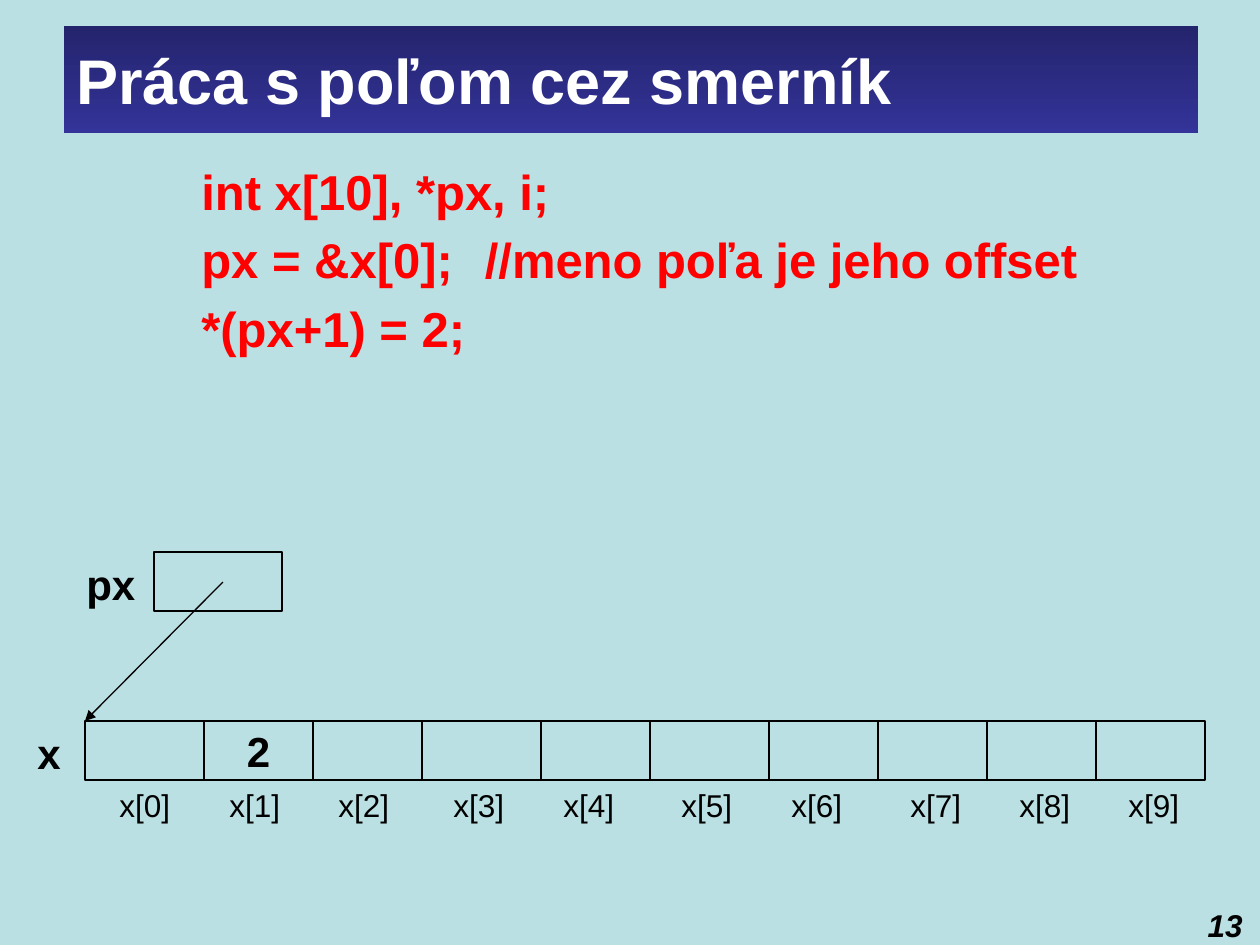
from itertools import accumulate

from lxml import etree
from pptx import Presentation
from pptx import util as u
from pptx.dml.color import RGBColor
from pptx.enum import shapes, text
from pptx.oxml.ns import qn

PX = 914400 // 126
COLORS = {"back": "BBE0E3", "ink": "000000", "code": "FF0000", "title": "FFFFFF",
          "bar_top": "24246D", "bar_bottom": "333399"}


def rgb(name):
    return RGBColor.from_string(COLORS[name])


class Builder:
    font = "Arial"

    def __init__(self, prs):
        self.s = prs.slides.add_slide(prs.slide_layouts[6])
        fill = self.s.background.fill
        fill.solid()
        fill.fore_color.rgb = rgb("back")

    def fill_text(self, tf, lines, size, color="ink", align="LEFT", **style):
        for i, line in enumerate(lines):
            p = tf.add_paragraph() if i else tf.paragraphs[0]
            p.alignment = getattr(text.PP_ALIGN, align)
            r = p.add_run()
            r.text = line
            font = {"name": self.font, "size": u.Pt(size), **style}
            for key, value in font.items():
                setattr(r.font, key, value)
            r.font.color.rgb = rgb(color)

    def label(self, x, y, w, h, lines, size, wrap=False, **style):
        tf = self.s.shapes.add_textbox(x * PX, y * PX, w * PX, h * PX).text_frame
        tf.word_wrap = wrap
        if not wrap:
            tf.auto_size = text.MSO_AUTO_SIZE.SHAPE_TO_FIT_TEXT
        self.fill_text(tf, lines, size, **style)
        return tf

    def rect(self, x, y, w, h):
        sp = self.s.shapes.add_shape(shapes.MSO_SHAPE.RECTANGLE,
                                     x * PX, y * PX, w * PX, h * PX)
        sp.shadow.inherit = False
        sp.text_frame.vertical_anchor = text.MSO_ANCHOR.MIDDLE
        return sp

    def cell(self, x, y, w, h, value=""):
        sp = self.rect(x, y, w, h)
        sp.fill.solid()
        sp.fill.fore_color.rgb = rgb("back")
        sp.line.color.rgb = rgb("ink")
        sp.line.width = u.Pt(0.75)
        if value:
            sp.text_frame.word_wrap = False
            self.fill_text(sp.text_frame, [value], 24, align="CENTER", bold=True)

    def title(self, x, y, w, h, line):
        sp = self.rect(x, y, w, h)
        sp.line.fill.background()
        sp.fill.gradient()
        sp.fill.gradient_angle = 270
        for stop, name in zip(sp.fill.gradient_stops, ("bar_top", "bar_bottom")):
            stop.color.rgb = rgb(name)
        self.fill_text(sp.text_frame, [line], 36, color="title", bold=True)

    def code(self, x, y, w, h, lines):
        """Code lines with a hanging indent and space above in proportion."""
        tf = self.label(x, y, w, h, lines, 28, wrap=True, color="code", bold=True)
        for p in tf.paragraphs:
            p.level = 2
            pPr = p._p.get_or_add_pPr()
            pPr.set("marL", str(u.Inches(1.25)))
            pPr.set("indent", str(u.Inches(-0.25)))
            before = etree.SubElement(pPr, qn("a:spcBef"))
            etree.SubElement(before, qn("a:spcPct")).set("val", "20000")

    def arrow(self, x1, y1, x2, y2):
        c = self.s.shapes.add_connector(shapes.MSO_CONNECTOR.STRAIGHT,
                                        x1 * PX, y1 * PX, x2 * PX, y2 * PX)
        c.line.color.rgb = rgb("ink")
        c.line.width = u.Pt(0.75)
        spPr = c._element.spPr
        etree.SubElement(spPr.find(qn("a:ln")), qn("a:tailEnd")).set("type", "triangle")
        etree.SubElement(spPr, qn("a:effectLst"))


def main():
    prs = Presentation()
    prs.slide_width, prs.slide_height = 1260 * PX, 945 * PX
    b = Builder(prs)

    b.title(64, 26, 1134, 107, "Práca s poľom cez smerník")
    b.code(63, 155, 1134, 384, ["int x[10], *px, i;",
                                "px = &x[0];\t//meno poľa je jeho offset",
                                "*(px+1) = 2;"])

    left, top, height = 85, 721, 59
    widths = [119, 109, 109, 119, 109, 119, 109, 109, 109, 109]
    label_offsets = [22, 13, 13, 19, 10, 19, 10, 20, 20, 20]
    lefts = accumulate(widths[:-1], initial=left)
    for i, (x, w, offset) in enumerate(zip(lefts, widths, label_offsets)):
        b.cell(x, top, w, height, "2" if i == 1 else "")
        b.label(x + offset, top + height, 76, 50, [f"x[{i}]"], 18)

    b.cell(154, 552, 128, height)
    b.label(74, 552, 74, 63, ["px"], 24, bold=True)
    b.label(25, top, 49, 63, ["x"], 24, bold=True)
    b.arrow(223, 582, left, top)
    b.label(1188, 900, 67, 39, ["13"], 18, wrap=True, align="RIGHT", bold=True, italic=True)

    prs.save("out.pptx")


if __name__ == "__main__":
    main()
